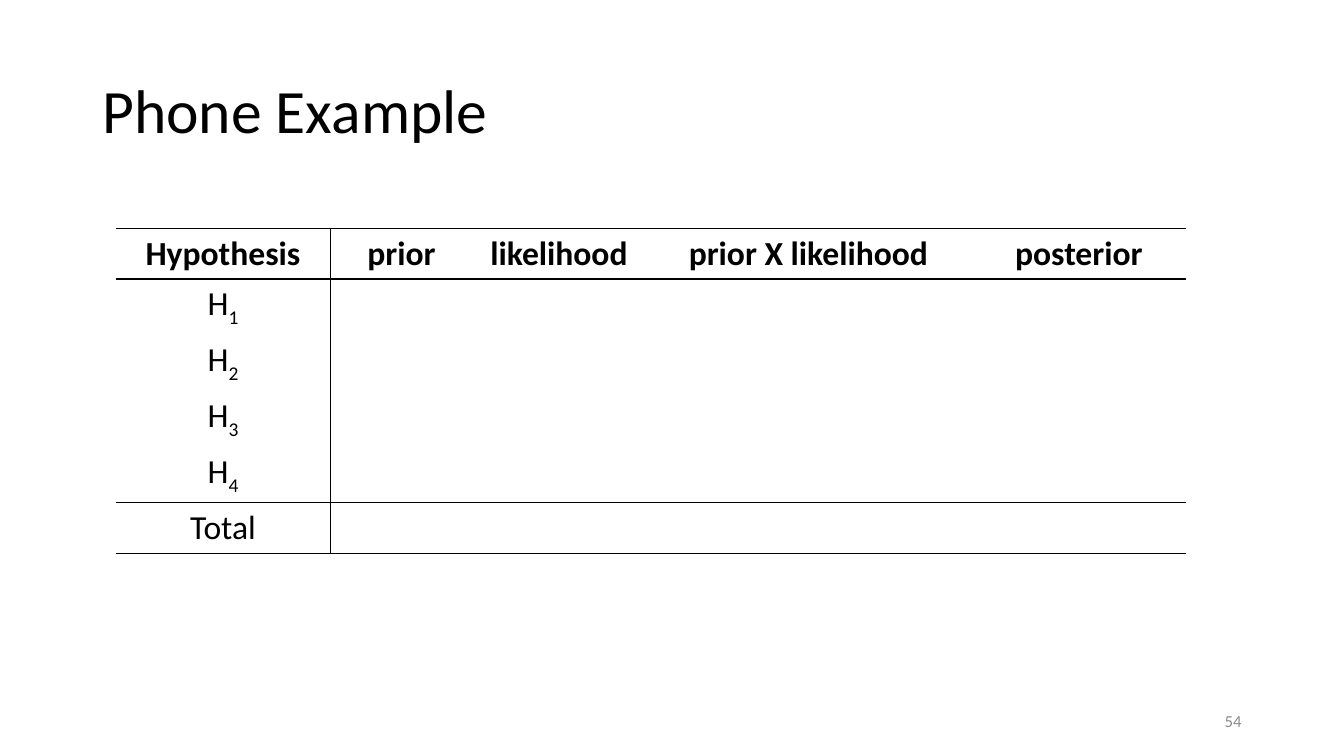
import pptx
import pptx.dml.color
import pptx.enum.text
import pptx.oxml
import pptx.oxml.ns
import pptx.util

COLORS = {"ink": "000000", "muted": "8C8C8C"}
ALIGN = pptx.enum.text.PP_ALIGN
PLAIN_TABLE = "{2D5ABB26-0587-4C30-8999-92F81FD0307C}"
GRID_COLUMNS, GRID_ROWS = 160, 90


def write(paragraph, text, size=24, color="ink", bold=False, align=ALIGN.LEFT, baseline=0):
    paragraph.alignment = align
    run = paragraph.add_run()
    run.text = text
    run.font.name = "Calibri"
    run.font.size = pptx.util.Pt(size)
    run.font.bold = bold
    run.font.color.rgb = pptx.dml.color.RGBColor.from_string(COLORS[color])
    if baseline:
        run.font._element.set("baseline", str(baseline * 1000))


class SlideBuilder:
    def __init__(self, deck):
        self.slide = deck.slides.add_slide(deck.slide_layouts[6])
        self.column = deck.slide_width / GRID_COLUMNS
        self.row = deck.slide_height / GRID_ROWS

    def box(self, left, top, width, height):
        return (round(left * self.column), round(top * self.row),
                round(width * self.column), round(height * self.row))

    def text(self, place, text, line_spacing=1.0, **style):
        frame = self.slide.shapes.add_textbox(*self.box(*place)).text_frame
        frame.word_wrap = True
        frame.vertical_anchor = pptx.enum.text.MSO_ANCHOR.MIDDLE
        frame.paragraphs[0].line_spacing = line_spacing
        write(frame.paragraphs[0], text, **style)

    def rule(self, cell, sides):
        properties = cell._tc.get_or_add_tcPr()
        for side in "LRTB":
            paint = (f'<a:solidFill><a:srgbClr val="{COLORS["ink"]}"/></a:solidFill>'
                     if side in sides else "<a:noFill/>")
            properties.append(pptx.oxml.parse_xml(
                f'<a:ln{side} {pptx.oxml.ns.nsdecls("a")} w="12700">{paint}</a:ln{side}>'))
        cell.fill.background()

    def table(self, left, top, widths, row_height, headings, hypotheses):
        labels = [headings[0], *hypotheses, "Total"]
        last = len(labels) - 1
        place = self.box(left, top, sum(widths), row_height * len(labels))
        table = self.slide.shapes.add_table(len(labels), len(widths), *place).table
        table._tbl.tblPr.find(pptx.oxml.ns.qn("a:tableStyleId")).text = PLAIN_TABLE
        table.first_row = table.horz_banding = False
        for column, width in zip(table.columns, widths):
            column.width = round(width * self.column)
        for row in range(len(labels)):
            for column in range(len(widths)):
                sides = {0: "R", 1: "L"}.get(column, "")
                sides += "T" if row in (0, 1, last) else ""
                sides += "B" if row in (0, last - 1, last) else ""
                self.rule(table.cell(row, column), sides)
        for column, heading in enumerate(headings):
            write(table.cell(0, column).text_frame.paragraphs[0], heading,
                  bold=True, align=ALIGN.CENTER)
        for row, label in enumerate(labels[1:], 1):
            paragraph = table.cell(row, 0).text_frame.paragraphs[0]
            if row == last:
                write(paragraph, label, align=ALIGN.CENTER)
            else:
                write(paragraph, label[0], align=ALIGN.CENTER)
                write(paragraph, label[1:], align=ALIGN.CENTER, baseline=-25)


def main():
    deck = pptx.Presentation()
    deck.slide_width = pptx.util.Inches(13.33)
    deck.slide_height = pptx.util.Inches(7.5)
    phone_example = SlideBuilder(deck)
    phone_example.text((11, 4.8, 138, 17.4), "Phone Example", size=44, line_spacing=0.9)
    phone_example.table(
        13.8, 27.2, [25.5, 17, 20.5, 38.9, 25.5], 6,
        ["Hypothesis", "prior", "likelihood", "prior X likelihood", "posterior"],
        [f"H{number}" for number in range(1, 5)])
    phone_example.text((113, 83.4, 36, 4.8), "54", size=12, color="muted", align=ALIGN.RIGHT)
    deck.save("out.pptx")


if __name__ == "__main__":
    main()
